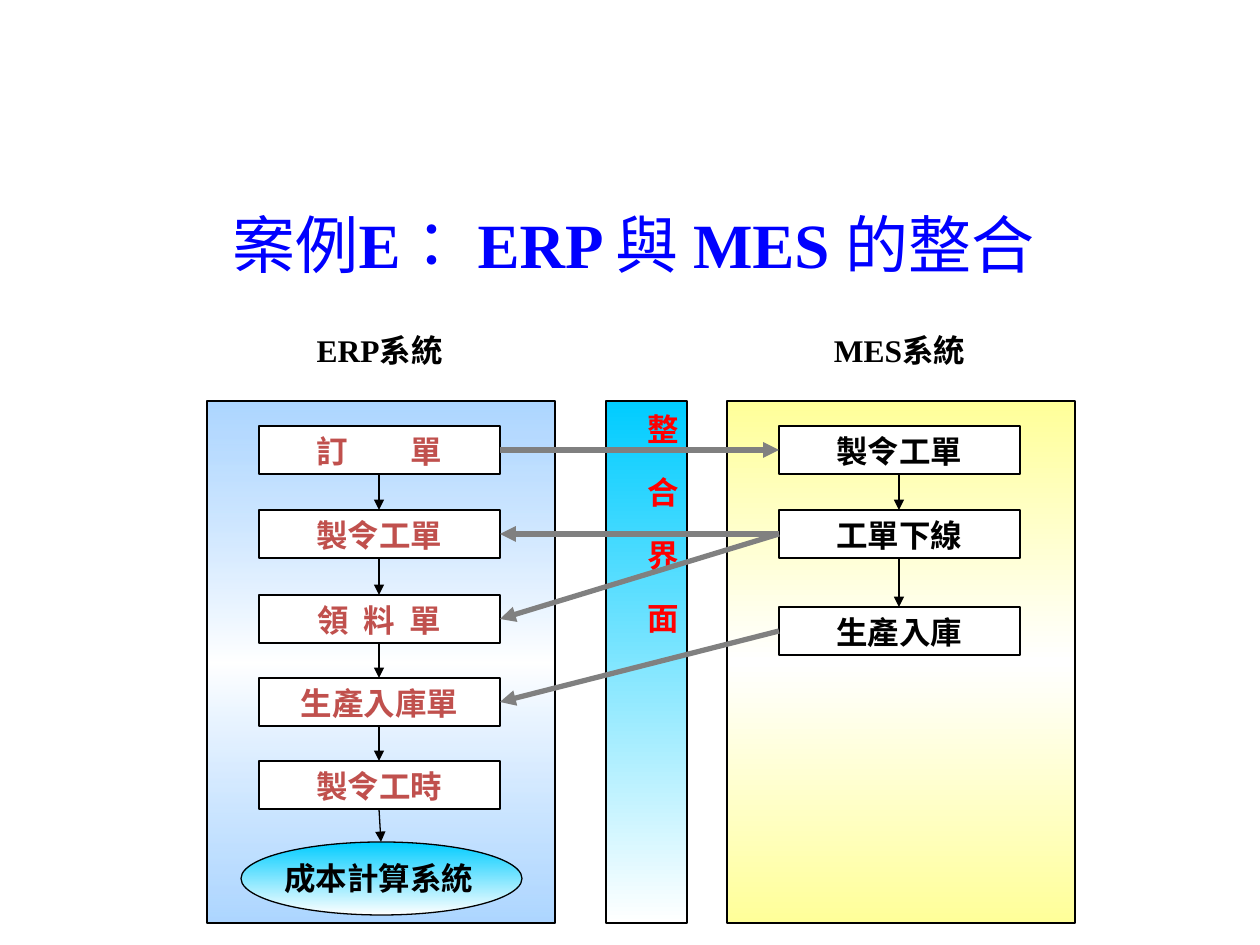
from collections import namedtuple
from dataclasses import dataclass
from itertools import pairwise

from lxml import etree
from pptx import Presentation
from pptx.dml.color import RGBColor
from pptx.enum.shapes import MSO_CONNECTOR, MSO_SHAPE
from pptx.enum.text import MSO_ANCHOR, PP_ALIGN
from pptx.oxml.ns import qn
from pptx.util import Pt

STRAIGHT = MSO_CONNECTOR.STRAIGHT
RECTANGLE, OVAL = MSO_SHAPE.RECTANGLE, MSO_SHAPE.OVAL
LEFT, CENTER = PP_ALIGN.LEFT, PP_ALIGN.CENTER
TOP, MIDDLE = MSO_ANCHOR.TOP, MSO_ANCHOR.MIDDLE
SCALE = 914400 / 126

Box = namedtuple("Box", "left top width height")


@dataclass(frozen=True)
class Theme:
    font: str = "Times New Roman"
    title_size: int = 36
    body_size: int = 18
    thin: float = 0.75
    thick: float = 3
    black: str = "000000"
    white: str = "FFFFFF"
    title: str = "0000FF"
    erp_text: str = "C0504D"
    bar_text: str = "FF0000"
    link: str = "808080"
    erp_panel: str = "99CCFF"
    mes_panel: str = "FFFF99"
    cyan: str = "00CCFF"


THEME = Theme()


def px(value):
    return round(value * SCALE)


def rgb(color):
    return RGBColor.from_string(color)


def write_text(shape, runs, size=THEME.body_size, color=THEME.black,
               align=CENTER, anchor=TOP):
    frame = shape.text_frame
    frame.word_wrap = True
    frame.vertical_anchor = anchor
    paragraph = frame.paragraphs[0]
    paragraph.alignment = align
    for text, bold in runs:
        run = paragraph.add_run()
        run.text = text
        run.font.name = THEME.font
        run.font.size = Pt(size)
        run.font.bold = bold
        run.font.color.rgb = rgb(color)
        run.font._element.set("lang", "zh-TW")


def add_text(slide, box, runs, **text_format):
    shape = slide.shapes.add_textbox(*map(px, box))
    write_text(shape, runs, **text_format)


def add_box(slide, box, kind=RECTANGLE):
    shape = slide.shapes.add_shape(kind, *map(px, box))
    shape.shadow.inherit = False
    shape.fill.solid()
    shape.fill.fore_color.rgb = rgb(THEME.white)
    shape.line.color.rgb = rgb(THEME.black)
    shape.line.width = Pt(THEME.thin)
    return shape


def fill_gradient(shape, colors, opacity=100):
    shape.fill.gradient()
    shape.fill.gradient_angle = 270
    stops = shape._element.spPr.find(qn("a:gradFill")).find(qn("a:gsLst"))
    for stop in list(stops):
        stops.remove(stop)
    for index, color in enumerate(colors):
        position = 100000 * index // (len(colors) - 1)
        stop = etree.SubElement(stops, qn("a:gs"), pos=str(position))
        tone = etree.SubElement(stop, qn("a:srgbClr"), val=color)
        if opacity < 100 and color != THEME.white:
            etree.SubElement(tone, qn("a:alpha"), val=str(opacity * 1000))


def add_arrow(slide, start, end, color=THEME.black, width=THEME.thin):
    connector = slide.shapes.add_connector(STRAIGHT, *map(px, (*start, *end)))
    connector.line.color.rgb = rgb(color)
    connector.line.width = Pt(width)
    etree.SubElement(connector.line._get_or_add_ln(), qn("a:tailEnd"), type="triangle")
    etree.SubElement(connector._element.spPr, qn("a:effectLst"))


def left_middle(box):
    return box.left, box.top + box.height // 2


def right_middle(box):
    return box.left + box.width, box.top + box.height // 2


def top_center(box):
    return box.left + box.width // 2, box.top


def bottom_center(box):
    return box.left + box.width // 2, box.top + box.height


def add_system(slide, box, heading, panel_color, opacity, text_color, steps):
    add_text(slide, Box(box.left + 25, box.top - 76, 295, 48), [(heading, True)])
    panel = add_box(slide, box)
    fill_gradient(panel, (panel_color, THEME.white, panel_color), opacity)
    nodes = []
    for label, offset in steps:
        node = Box(box.left + 52, box.top + offset, 241, 48)
        write_text(add_box(slide, node), [(label, True)], color=text_color)
        nodes.append(node)
    for upper, lower in pairwise(nodes):
        add_arrow(slide, bottom_center(upper), top_center(lower))
    return nodes


def add_cost_system(slide, box, source):
    fill_gradient(add_box(slide, box, OVAL), (THEME.cyan, THEME.white))
    add_text(slide, Box(box.left + 24, box.top + 11, 228, 48), [("成本計算系統", True)])
    add_arrow(slide, bottom_center(source), top_center(box))


def add_interface_bar(slide, box):
    bar = add_box(slide, box)
    fill_gradient(bar, (THEME.cyan, THEME.white))
    write_text(bar, [("整　合　界　面", True)], color=THEME.bar_text, align=LEFT)
    bar.text_frame._txBody.bodyPr.set("vert", "eaVert")


def add_links(slide, erp, mes):
    order, work_order, picking, receipt = erp[:4]
    issued, released, stored = mes
    links = [(right_middle(order), left_middle(issued))]
    for source, target in ((released, work_order), (released, picking), (stored, receipt)):
        links.append((left_middle(source), right_middle(target)))
    for start, end in links:
        add_arrow(slide, start, end, THEME.link, THEME.thick)


def main():
    presentation = Presentation()
    presentation.slide_width, presentation.slide_height = px(1260), px(945)
    slide = presentation.slides.add_slide(presentation.slide_layouts[6])

    title = [("案例", False), ("E", True), ("： ", False), ("ERP ", True),
             ("與 ", False), ("MES ", True), ("的整合", False)]
    add_text(slide, Box(98, 197, 1071, 93), title, size=THEME.title_size,
             color=THEME.title, anchor=MIDDLE)

    erp_steps = [("訂　　單", 25), ("製令工單", 109), ("領  料  單", 194),
                 ("生產入庫單", 277), ("製令工時", 360)]
    mes_steps = [("製令工單", 25), ("工單下線", 109), ("生產入庫", 206)]
    erp = add_system(slide, Box(207, 401, 348, 522), "ERP系統", THEME.erp_panel,
                     80, THEME.erp_text, erp_steps)
    add_cost_system(slide, Box(241, 842, 281, 73), erp[-1])
    mes = add_system(slide, Box(727, 401, 348, 522), "MES系統", THEME.mes_panel,
                     100, THEME.black, mes_steps)
    add_interface_bar(slide, Box(606, 401, 81, 522))
    add_links(slide, erp, mes)
    presentation.save("out.pptx")


if __name__ == "__main__":
    main()
